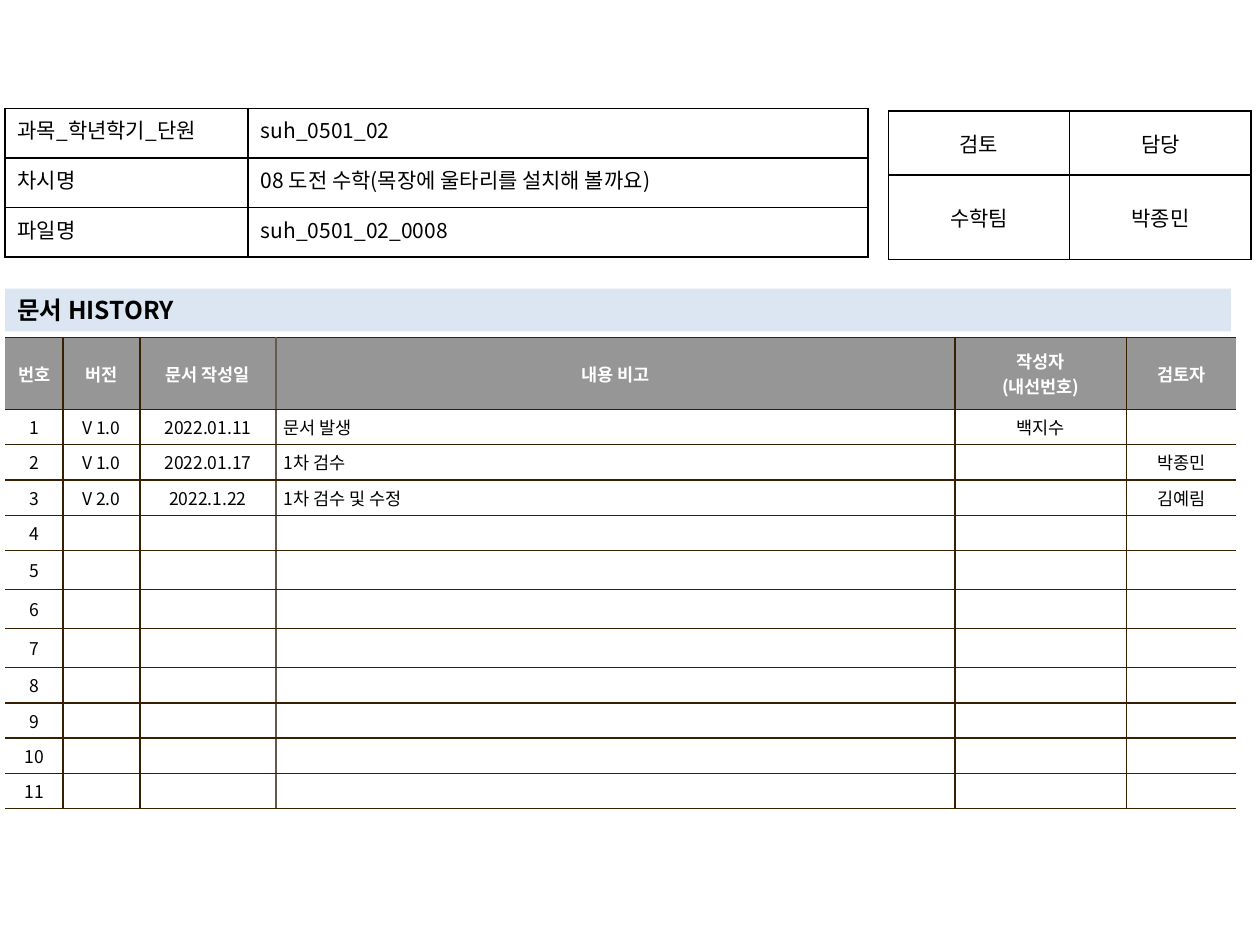
from pptx import Presentation
from pptx.dml.color import RGBColor
from pptx.enum.shapes import MSO_SHAPE
from pptx.enum.text import MSO_ANCHOR, PP_ALIGN
from pptx.oxml import parse_xml
from pptx.oxml.ns import nsdecls
from pptx.util import Inches, Pt

LEFT, CENTER, JUSTIFY = PP_ALIGN.LEFT, PP_ALIGN.CENTER, PP_ALIGN.JUSTIFY
TOP, MIDDLE = MSO_ANCHOR.TOP, MSO_ANCHOR.MIDDLE
RECTANGLE = MSO_SHAPE.RECTANGLE

FONT = "Noto Sans CJK KR"
BLACK, WHITE, GRAY, PALE_BLUE = "000000", "FFFFFF", "969696", "DCE6F2"
BROWN, LIGHT_BROWN = "362000", "645B4C"
MARGIN = 0.04

LESSON = [
    ("과목_학년학기_단원 ", "suh_0501_02"),
    ("차시명", "08 도전 수학(목장에 울타리를 설치해 볼까요)"),
    ("파일명", "suh_0501_02_0008"),
]
APPROVAL = [("검토", "담당"), ("수학팀", "박종민")]
HEADING = "문서 HISTORY"
HISTORY_HEAD = ("번호", "버전", "문서 작성일", "내용 비고", "작성자\n(내선번호)", "검토자")
REVISIONS = [
    ("V 1.0", "2022.01.11", "문서 발생", "백지수", ""),
    ("V 1.0", "2022.01.17", "1차 검수", "", "박종민"),
    ("V 2.0", "2022.1.22", "1차 검수 및 수정", "", "김예림"),
]
REVISION_COUNT = 11
TALL_REVISIONS = (5, 6, 7)
NOTE_COLUMN = 3


def rgb(value):
    return RGBColor.from_string(value)


def write(frame, text, size, color=BLACK, bold=False, align=LEFT):
    for index, line in enumerate(text.split("\n")):
        para = frame.paragraphs[0] if index == 0 else frame.add_paragraph()
        para.alignment = align
        if not line:
            para._p.append(parse_xml(f'<a:endParaRPr {nsdecls("a")} sz="{size * 100}"/>'))
            continue
        span = para.add_run()
        span.text = line
        span.font.size = Pt(size)
        span.font.bold = bold
        span.font.color.rgb = rgb(color)
        span.font.name = FONT
        span._r.get_or_add_rPr().append(
            parse_xml(f'<a:ea {nsdecls("a")} typeface="{FONT}"/>'))


def set_borders(cell, colors):
    properties = cell._tc.get_or_add_tcPr()
    for side, color in zip("LRTB", colors):
        paint = f'<a:solidFill><a:srgbClr val="{color}"/></a:solidFill>' if color else "<a:noFill/>"
        properties.append(parse_xml(
            f'<a:ln{side} {nsdecls("a")} w="{Pt(1)}">{paint}</a:ln{side}>'))


def add_grid(page, left, top, widths, heights, rows, style, inset):
    frame = page.shapes.add_table(
        len(heights), len(widths), Inches(left), Inches(top),
        Inches(sum(widths)), Inches(sum(heights)))
    table = frame.table
    table.first_row = table.horz_banding = False
    for column, width in zip(table.columns, widths):
        column.width = Inches(width)
    for row, height in zip(table.rows, heights):
        row.height = Inches(height)
    for r, texts in enumerate(rows):
        for c, text in enumerate(texts):
            cell = table.cell(r, c)
            look = style(r, c)
            cell.margin_left = cell.margin_right = Inches(inset)
            cell.margin_top = cell.margin_bottom = Inches(inset / 2 if inset == 0.1 else 0.04)
            cell.vertical_anchor = look["anchor"]
            set_borders(cell, look["borders"])
            if look["fill"]:
                cell.fill.solid()
                cell.fill.fore_color.rgb = rgb(look["fill"])
            else:
                cell.fill.background()
            write(cell.text_frame, text, **look["text"])


def lesson_style(r, c):
    return dict(anchor=TOP, fill=None, borders=[BLACK] * 4,
                text=dict(size=12, align=LEFT if c else JUSTIFY))


def approval_style(r, c):
    return dict(anchor=MIDDLE, fill=None, borders=[BLACK] * 4,
                text=dict(size=12, align=CENTER))


def history_style(r, c):
    head = r == 0
    edges = [None] + [BROWN] * (len(HISTORY_HEAD) - 1) + [None]
    edges[NOTE_COLUMN] = LIGHT_BROWN
    return dict(anchor=MIDDLE, fill=GRAY if head else WHITE,
                borders=[edges[c], edges[c + 1], BROWN, BROWN],
                text=dict(size=10, bold=head, color=WHITE if head else BLACK,
                          align=LEFT if c == NOTE_COLUMN and not head else CENTER))


def add_heading(page):
    bar = page.shapes.add_shape(RECTANGLE, Inches(MARGIN), Inches(2.29), Inches(9.73), Inches(0.34))
    bar.shadow.inherit = False
    bar.fill.solid()
    bar.fill.fore_color.rgb = rgb(PALE_BLUE)
    bar.line.fill.background()
    bar.text_frame.word_wrap = True
    bar.text_frame.vertical_anchor = MIDDLE
    write(bar.text_frame, HEADING, 14, bold=True)


def main():
    deck = Presentation()
    deck.slide_width, deck.slide_height = Inches(10), Inches(7.5)
    page = deck.slides.add_slide(deck.slide_layouts[6])

    numbers = range(1, REVISION_COUNT + 1)
    blank = ("",) * (len(HISTORY_HEAD) - 1)
    filled = REVISIONS + [blank] * (REVISION_COUNT - len(REVISIONS))
    history = [HISTORY_HEAD] + [(str(n), *entry) for n, entry in zip(numbers, filled)]
    heights = [0.57] + [0.31 if n in TALL_REVISIONS else 0.28 for n in numbers]

    add_grid(page, MARGIN, 2.68, [0.46, 0.61, 1.08, 5.39, 1.36, 0.87], heights,
             history, history_style, 0.06)
    add_grid(page, 7.05, 0.88, [1.44] * 2, [0.51, 0.67], APPROVAL, approval_style, 0.1)
    add_heading(page)
    add_grid(page, MARGIN, 0.86, [1.93, 4.92], [1.18 / 3] * 3, LESSON, lesson_style, 0.1)
    deck.save("out.pptx")


if __name__ == "__main__":
    main()
